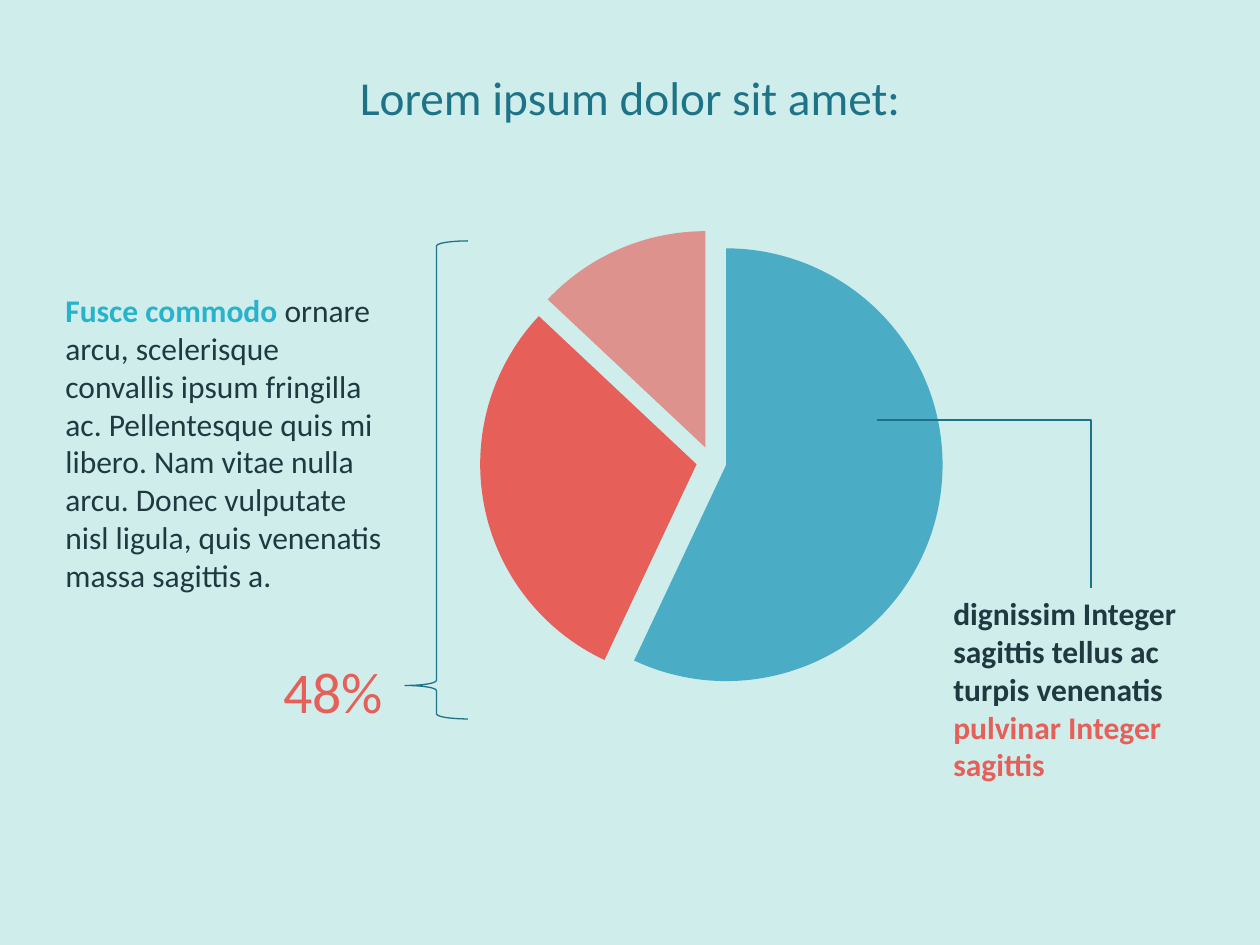
from dataclasses import dataclass

from lxml import etree
from pptx import Presentation
from pptx.chart.data import CategoryChartData
from pptx.dml.color import RGBColor
from pptx.enum.chart import XL_CHART_TYPE
from pptx.enum.shapes import MSO_CONNECTOR, MSO_SHAPE
from pptx.enum.text import MSO_ANCHOR, MSO_AUTO_SIZE, PP_ALIGN
from pptx.oxml.ns import qn
from pptx.util import Pt

PIE = XL_CHART_TYPE.PIE
ELBOW = MSO_CONNECTOR.ELBOW
LEFT_BRACE = MSO_SHAPE.LEFT_BRACE
TOP = MSO_ANCHOR.TOP
FIT_SHAPE = MSO_AUTO_SIZE.SHAPE_TO_FIT_TEXT
LEFT, CENTER = PP_ALIGN.LEFT, PP_ALIGN.CENTER
EMU_PER_PX = 914400 / 126


@dataclass(frozen=True)
class Theme:
    font: str = "Calibri"
    background: str = "CFEDEB"
    teal: str = "1E7387"
    ink: str = "203941"
    accent: str = "27B3CC"
    coral: str = "E65F59"
    blue: str = "4BACC6"
    title_size: int = 27
    figure_size: int = 33
    body_size: int = 18
    chart_size: int = 10
    line_width: float = 0.75


THEME = Theme()


def px(*lengths):
    return [round(length * EMU_PER_PX) for length in lengths]


def rgb(color):
    return RGBColor.from_string(color)


def write_text(frame, parts, size, align=LEFT):
    frame.word_wrap = True
    frame.auto_size = FIT_SHAPE
    frame.vertical_anchor = TOP
    paragraph = frame.paragraphs[0]
    paragraph.alignment = align
    for words, color, bold in parts:
        run = paragraph.add_run()
        run.text = words
        run.font.name = THEME.font
        run.font.size = Pt(size)
        run.font.bold = bold
        run.font.color.rgb = rgb(color)


def add_title(slide, words, box):
    title = slide.shapes.title
    title.left, title.top, title.width, title.height = px(*box)
    write_text(title.text_frame, [(words, THEME.teal, False)],
               THEME.title_size, CENTER)


def add_text(slide, box, parts, size=THEME.body_size, align=LEFT):
    textbox = slide.shapes.add_textbox(*px(*box))
    write_text(textbox.text_frame, parts, size, align)


def style_line(line):
    line.color.rgb = rgb(THEME.teal)
    line.width = Pt(THEME.line_width)


def add_brace(slide, box, curve, point):
    brace = slide.shapes.add_shape(LEFT_BRACE, *px(*box))
    brace.shadow.inherit = False
    brace.fill.background()
    brace.adjustments[0] = curve
    brace.adjustments[1] = point
    style_line(brace.line)


def add_callout_line(slide, start, end):
    callout = slide.shapes.add_connector(ELBOW, *px(*start, *end))
    style_line(callout.line)
    properties = callout._element.spPr
    properties.find(qn("a:prstGeom")).set("prst", "bentConnector2")
    etree.SubElement(properties, qn("a:effectLst"))


def set_plot_layout(chart, **fractions):
    plot_area = chart._chartSpace.chart.plotArea
    layout = plot_area.find(qn("c:layout"))
    if layout is None:
        layout = etree.Element(qn("c:layout"))
        plot_area.insert(0, layout)
    manual = etree.SubElement(layout, qn("c:manualLayout"))
    settings = {"layoutTarget": "inner", "xMode": "edge", "yMode": "edge",
                **fractions}
    for tag, value in settings.items():
        etree.SubElement(manual, qn(f"c:{tag}")).set("val", str(value))


def add_exploded_pie(slide, box, values, slices, explosion):
    data = CategoryChartData()
    data.categories = [str(number + 1) for number in range(len(values))]
    data.add_series("Series 1", values)
    chart = slide.shapes.add_chart(PIE, *px(*box), data).chart
    chart.has_title = False
    chart.has_legend = False
    chart.font.name = THEME.font
    chart.font.size = Pt(THEME.chart_size)
    chart.plots[0].vary_by_categories = True
    set_plot_layout(chart, x=0.19, y=0.02, w=0.62, h=0.93)

    series = chart.plots[0].series[0]
    offset = etree.Element(qn("c:explosion"))
    offset.set("val", str(explosion))
    series._element.find(qn("c:tx")).addnext(offset)
    for index, (color, opacity) in enumerate(slices):
        point = series.points[index].format
        point.fill.solid()
        point.fill.fore_color.rgb = rgb(color)
        point.line.fill.background()
        if opacity < 100:
            fill_color = point.fill._xPr.find(".//" + qn("a:srgbClr"))
            alpha = etree.SubElement(fill_color, qn("a:alpha"))
            alpha.set("val", str(opacity * 1000))


def main():
    deck = Presentation()
    deck.slide_width, deck.slide_height = px(1260, 945)
    slide = deck.slides.add_slide(deck.slide_layouts[5])
    slide.background.fill.solid()
    slide.background.fill.fore_color.rgb = rgb(THEME.background)

    add_title(slide, "Lorem ipsum dolor sit amet:", (0, 62, 1260, 71))
    add_exploded_pie(
        slide, (338, 220, 747, 498), (57, 30, 13),
        [(THEME.blue, 100), (THEME.coral, 100), (THEME.coral, 64)], 7)
    add_text(slide, (53, 285, 346, 318), [
        ("Fusce commodo ", THEME.accent, True),
        ("ornare arcu, scelerisque convallis ipsum fringilla ac. "
         "Pellentesque quis mi libero. Nam vitae nulla arcu. Donec vulputate "
         "nisl ligula, quis venenatis massa sagittis a.", THEME.ink, False),
    ])
    add_brace(slide, (405, 241, 63, 478), 0.08, 0.93)
    add_text(slide, (263, 650, 141, 83), [("48%", THEME.coral, False)],
             THEME.figure_size, CENTER)
    add_text(slide, (941, 588, 300, 204), [
        ("dignissim Integer sagittis tellus ac turpis venenatis ",
         THEME.ink, True),
        ("pulvinar Integer sagittis", THEME.coral, True),
    ])
    add_callout_line(slide, (877, 420), (1091, 588))
    deck.save("out.pptx")


if __name__ == "__main__":
    main()
